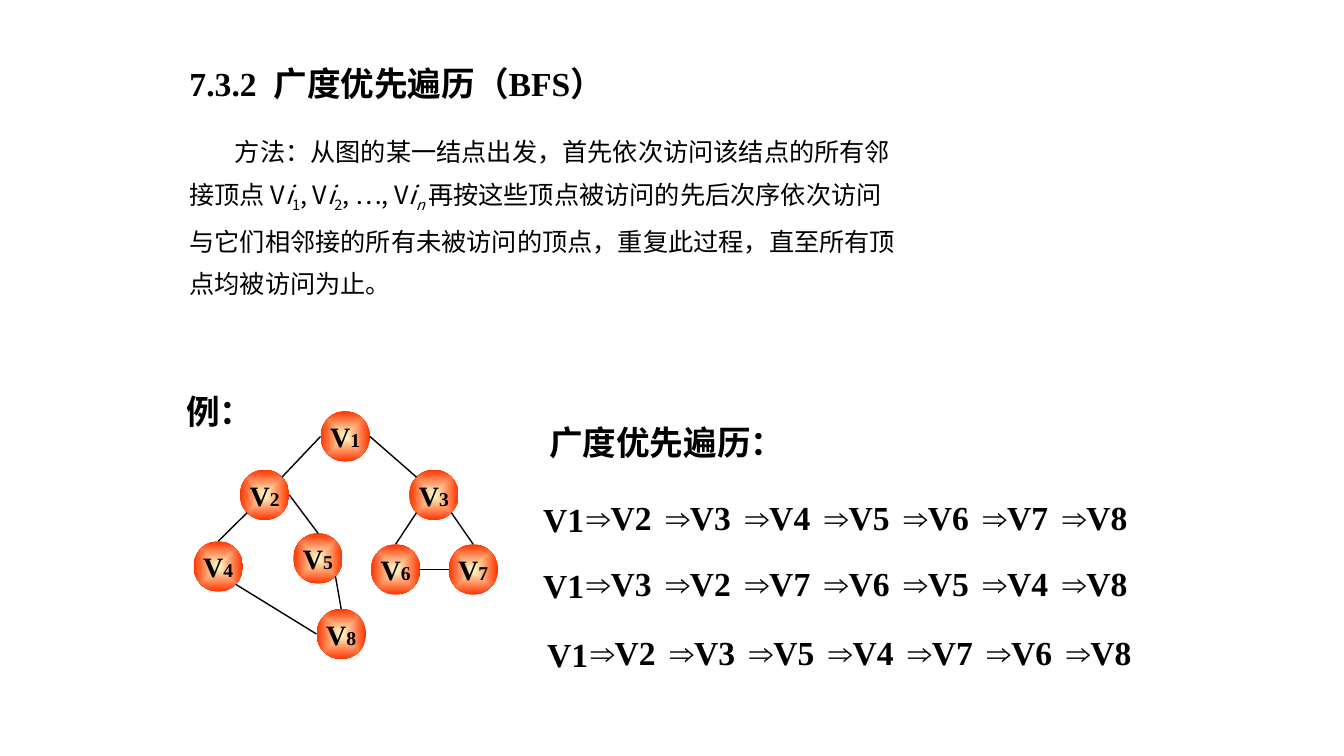
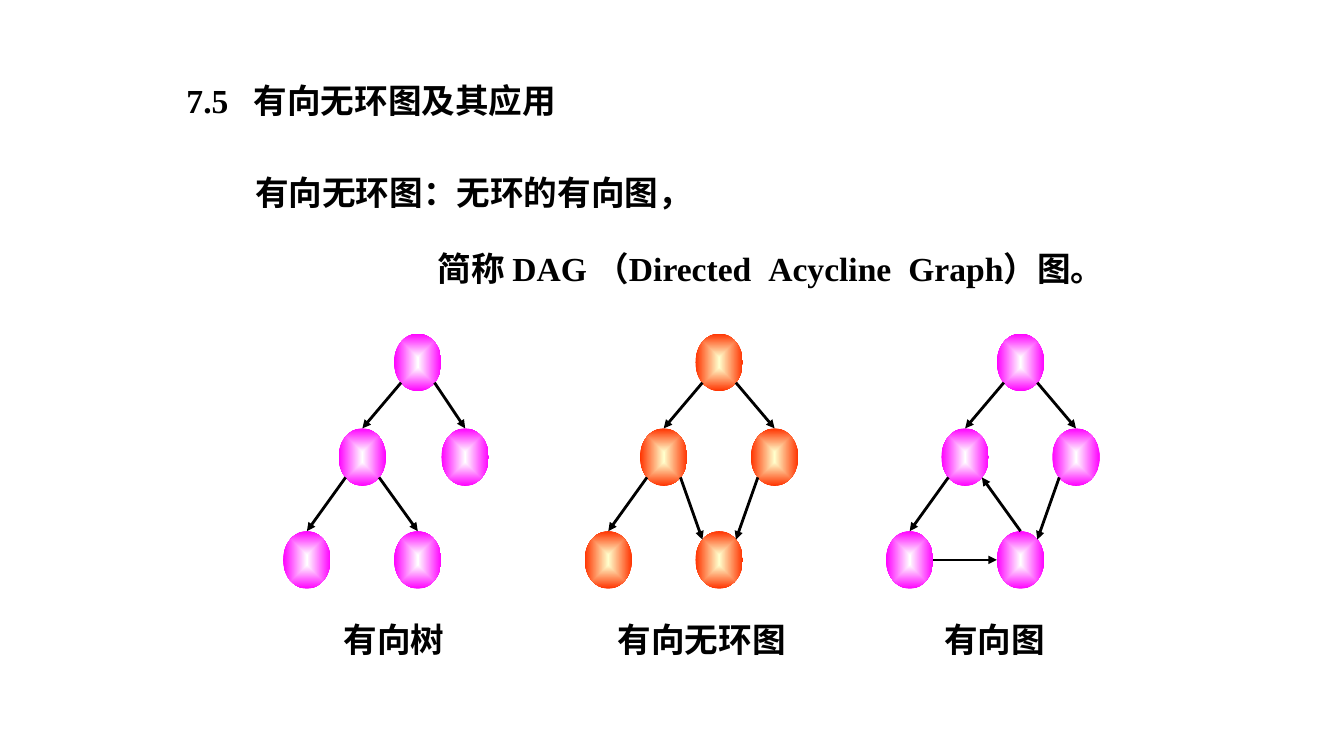
import dataclasses
import math

import pptx
import pptx.dml.color
import pptx.enum.shapes
import pptx.enum.text
import pptx.oxml.ns
import pptx.oxml.xmlchemy
import pptx.util

Pt = pptx.util.Pt
qn = pptx.oxml.ns.qn
ANCHOR = pptx.enum.text.MSO_ANCHOR
ALIGN = pptx.enum.text.PP_ALIGN


@dataclasses.dataclass(frozen=True)
class Theme:
    columns: int = 40
    rows: float = 22.5
    ink: str = "000000"
    orange: tuple = ("FFFFCC", "FF3300")
    magenta: tuple = ("FFFFFF", "FF00FF")
    serif: str = "Times New Roman"
    sans: str = "Noto Sans CJK SC"
    heading: int = 24
    body: int = 18
    node: int = 20
    index: int = 14
    word_space: int = 6


THEME = Theme()
CELL = pptx.util.Inches(1) / 3

DIAGONAL = math.sqrt(0.125)
SITES = {
    "top": (0, -0.5),
    "left": (-0.5, 0),
    "right": (0.5, 0),
    "top left": (-DIAGONAL, -DIAGONAL),
    "top right": (DIAGONAL, -DIAGONAL),
    "bottom left": (-DIAGONAL, DIAGONAL),
    "bottom right": (DIAGONAL, DIAGONAL),
}


def cells(*values):
    return [round(value * CELL) for value in values]


def rgb(value):
    return pptx.dml.color.RGBColor.from_string(value)


def child(parent, tag, **attributes):
    element = parent.makeelement(qn(tag), attributes)
    parent.append(element)
    return element


def add_span(para, text, size=THEME.heading, face=THEME.serif, bold=True,
             italic=False, baseline=0, spacing=0):
    span = para.add_run()
    span.text = text
    font = span.font
    font.size, font.name = Pt(size), face
    font.bold, font.italic = bold, italic
    font.color.rgb = rgb(THEME.ink)
    properties = span._r.get_or_add_rPr()
    child(properties, "a:ea", typeface=THEME.sans)
    if baseline:
        properties.set("baseline", str(baseline * 1000))
    if spacing:
        properties.set("spc", str(spacing * 100))


def add_gap(para, spaces=2):
    add_span(para, " ", spacing=(spaces - 1) * THEME.word_space)


def place(box, left, top, width, height):
    box.left, box.top, box.width, box.height = cells(left, top, width, height)


def prepare(frame, anchor=ANCHOR.TOP):
    frame.word_wrap = True
    frame.auto_size = pptx.enum.text.MSO_AUTO_SIZE.NONE
    frame.vertical_anchor = anchor
    return frame.paragraphs[0]


def add_label(page, text, left, top, width, face=THEME.serif, anchor=ANCHOR.TOP):
    box = page.shapes.add_textbox(*cells(left, top, width, 1.5))
    add_span(prepare(box.text_frame, anchor), text, face=face)


def set_title(page, area, number, spaces, text):
    title = page.shapes.title
    place(title, *area)
    para = prepare(title.text_frame)
    para.alignment = ALIGN.LEFT
    add_span(para, number)
    add_gap(para, spaces)
    add_span(para, text)


def body_paragraphs(page, area, count, before, line_spacing=1.0):
    body = page.placeholders[1]
    place(body, *area)
    frame = body.text_frame
    prepare(frame)
    paras = [frame.paragraphs[0]] + [frame.add_paragraph() for _ in range(count - 1)]
    for position, para in enumerate(paras):
        para.alignment = ALIGN.LEFT
        para.line_spacing = line_spacing
        para.space_before = Pt(before if position else 0)
        properties = para._p.get_or_add_pPr()
        properties.set("marL", "0")
        properties.set("indent", "0")
        child(properties, "a:buNone")
    return paras


def add_node(page, left, top, width, height, colours, label=""):
    node = page.shapes.add_shape(
        pptx.enum.shapes.MSO_SHAPE.OVAL, *cells(left, top, width, height))
    node.shadow.inherit = False
    node.line.fill.background()
    node.fill.gradient()
    for stop, colour, position in zip(node.fill.gradient_stops, colours, (0, 1)):
        stop.color.rgb = rgb(colour)
        stop.position = position
    gradient = node._element.spPr.find(qn("a:gradFill"))
    gradient.remove(gradient.find(qn("a:lin")))
    shape_path = child(gradient, "a:path", path="shape")
    child(shape_path, "a:fillToRect", l="50000", t="50000", r="50000", b="50000")
    if label:
        frame = node.text_frame
        para = prepare(frame, ANCHOR.MIDDLE)
        frame.word_wrap = False
        frame.margin_left = frame.margin_right = 0
        frame.margin_top = frame.margin_bottom = 0
        para.alignment = ALIGN.CENTER
        add_span(para, label[0], THEME.node)
        add_span(para, label[1:], THEME.index)
    return node


def site_point(node, site):
    across, down = SITES[site]
    return (round(node.left + node.width * (0.5 + across)),
            round(node.top + node.height * (0.5 + down)))


def add_edge(page, start, start_site, end, end_site, weight, arrow):
    edge = page.shapes.add_connector(
        pptx.enum.shapes.MSO_CONNECTOR.STRAIGHT,
        *site_point(start, start_site), *site_point(end, end_site))
    edge.line.color.rgb = rgb(THEME.ink)
    edge.line.width = Pt(weight)
    if arrow:
        child(edge.line._get_or_add_ln(), "a:tailEnd", type="triangle")
    child(edge._element.spPr, "a:effectLst")


def add_graph(page, left, top, size, places, edges, colours,
              weight=1, arrow=False, labelled=False):
    nodes = {
        name: add_node(page, left + x, top + y, *size, colours, name if labelled else "")
        for name, (x, y) in places.items()
    }
    for start, start_site, end, end_site in edges:
        add_edge(page, nodes[start], start_site, nodes[end], end_site, weight, arrow)


def add_visit_order(page, left, top, order):
    add_label(page, f"V{order[0]}", left, top + 0.06, 2.07)
    for step, vertex in enumerate(order[1:]):
        add_label(page, f"⇒V{vertex}", left + 1.29 + 2.36 * step, top, 3.06)


def add_method(page, area):
    paras = body_paragraphs(page, area, 4, THEME.body / 2)
    paras[0]._p.pPr.set("indent", str(cells(1.35)[0]))
    italic, low, low_italic = {"italic": True}, {"baseline": -25}, {"italic": True, "baseline": -25}
    lines = (
        [("方法：从图的某一结点出发，首先依次访问该结点的所有邻", {})],
        [("接顶点 V", {}), ("i", italic), ("1", low), (", V", {}), ("i", italic),
         ("2", low), (", …, V", {}), ("i", italic), ("n ", low_italic),
         ("再按这些顶点被访问的先后次序依次访问", {})],
        [("与它们相邻接的所有未被访问的顶点，重复此过程，直至所有顶", {})],
        [("点均被访问为止。", {})],
    )
    for para, spans in zip(paras, lines):
        for text, style in spans:
            add_span(para, text, THEME.body, THEME.sans, False, **style)


def add_definition(page, area):
    first, second = body_paragraphs(page, area, 2, 11, 1.5)
    add_span(first, "有向无环图：无环的有向图，")
    second._p.pPr.set("marL", str(cells(5.43)[0]))
    add_span(second, "简称 DAG （Directed")
    add_gap(second)
    add_span(second, "Acycline")
    add_gap(second)
    add_span(second, "Graph）图。")


def build_search_page(page):
    set_title(page, (5.34, 1.71, 13.1, 1.5), "7.3.2", 2, "广度优先遍历（BFS）")
    add_method(page, (5.34, 3.9, 22.14, 5.31))
    add_label(page, "例：", 5.25, 11.49, 2.85, anchor=ANCHOR.MIDDLE)
    places = {
        "V1": (3.78, 0), "V2": (1.38, 1.74), "V3": (6.42, 1.74), "V4": (0, 3.87),
        "V5": (2.97, 3.63), "V6": (5.28, 3.96), "V7": (7.59, 3.96), "V8": (3.66, 5.88),
    }
    edges = (
        ("V1", "left", "V2", "top right"),
        ("V1", "right", "V3", "top left"),
        ("V2", "bottom left", "V4", "top"),
        ("V2", "right", "V5", "top"),
        ("V3", "bottom left", "V6", "top"),
        ("V3", "bottom right", "V7", "top"),
        ("V4", "bottom right", "V8", "left"),
        ("V5", "bottom right", "V8", "top"),
        ("V7", "left", "V6", "right"),
    )
    add_graph(page, 5.76, 12.24, (1.47, 1.5), places, edges, THEME.orange, labelled=True)
    add_label(page, "广度优先遍历：", 16.05, 12.42, 7.86)
    for left, top, order in ((15.87, 14.64, "12345678"),
                             (15.87, 16.62, "13276548"),
                             (15.99, 18.66, "12354768")):
        add_visit_order(page, left, top, order)


def build_acyclic_page(page):
    set_title(page, (5.25, 2.22, 12.09, 1.5), "7.5", 3, "有向无环图及其应用")
    add_definition(page, (7.29, 4.38, 26.76, 4.5))
    column, middle, low = 1.65, 2.82, 5.88
    places = {
        "root": (2 * column, 0), "left": (column, middle), "right": (3 * column, middle),
        "leaf": (0, low), "sink": (2 * column, low),
    }
    shared = (
        ("root", "bottom left", "left", "top"),
        ("root", "bottom right", "right", "top"),
        ("left", "bottom left", "leaf", "top"),
    )
    right_to_sink = ("right", "bottom left", "sink", "top right")
    graphs = (
        ("有向树", 1.5, THEME.magenta, {"right": (4.71, middle)},
         (("left", "bottom right", "sink", "top"),)),
        ("有向无环图", 0.69, THEME.orange, {},
         (("left", "bottom right", "sink", "top left"), right_to_sink)),
        ("有向图", 1.44, THEME.magenta, {},
         (("sink", "top", "left", "bottom right"), right_to_sink,
          ("leaf", "right", "sink", "left"))),
    )
    for position, (name, inset, colours, moved, extra) in enumerate(graphs):
        left = 8.43 + 8.97 * position
        add_graph(page, left, 9.93, (1.41, 1.71), {**places, **moved},
                  shared + extra, colours, weight=2, arrow=True)
        add_label(page, name, left + inset, 18.27, 6, face=THEME.sans)


def main():
    deck = pptx.Presentation()
    deck.slide_width, deck.slide_height = cells(THEME.columns, THEME.rows)
    for build in (build_search_page, build_acyclic_page):
        build(deck.slides.add_slide(deck.slide_layouts[1]))
    deck.save("out.pptx")


if __name__ == "__main__":
    main()
